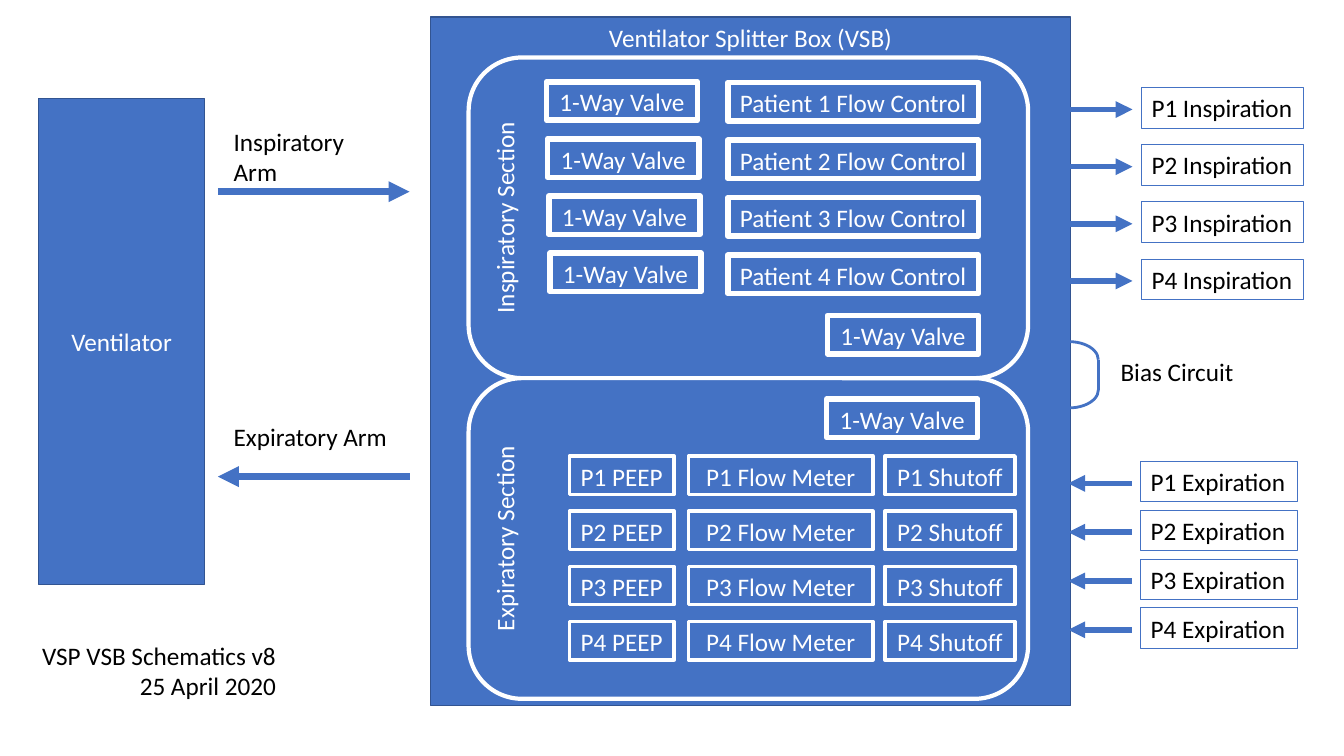
from collections import namedtuple
from lxml.etree import SubElement
from pptx import Presentation
from pptx.dml.color import RGBColor
from pptx.enum.shapes import MSO_CONNECTOR, MSO_SHAPE
from pptx.enum.text import MSO_ANCHOR, PP_ALIGN
from pptx.oxml.ns import qn
from pptx.util import Cm, Pt

COLORS = {"blue": "4472C4", "edge": "325491", "white": "FFFFFF", "black": "000000"}
PATIENTS = range(1, 5)
CELL_HEIGHT = 0.97
VALVE_WIDTH = 3.81
Box = namedtuple("Box", "left top width height")


def color(name):
    return RGBColor.from_string(COLORS[name])


def inside(box, left, top, width, height):
    return Box(box.left + left, box.top + top, width, height)


def write(frame, lines, ink, aligns, anchor=MSO_ANCHOR.TOP, wrap=True):
    frame.word_wrap = wrap
    frame.vertical_anchor = anchor
    for index, (line, align) in enumerate(zip(lines, aligns)):
        para = frame.paragraphs[0] if index == 0 else frame.add_paragraph()
        para.alignment = align
        span = para.add_run()
        span.text = line
        span.font.name = "Calibri"
        span.font.size = Pt(18)
        span.font.color.rgb = color(ink)


def add_outline(page, kind, box, line, weight, fill=None):
    shape = page.shapes.add_shape(kind, *map(Cm, box))
    shape.shadow.inherit = False
    if fill:
        shape.fill.solid()
        shape.fill.fore_color.rgb = color(fill)
    else:
        shape.fill.background()
    shape.line.color.rgb = color(line)
    shape.line.width = Pt(weight)
    return shape


def add_block(page, box, text, line="white", weight=4, anchor=MSO_ANCHOR.TOP):
    shape = add_outline(page, MSO_SHAPE.RECTANGLE, box, line, weight, "blue")
    write(shape.text_frame, [text], "white", [PP_ALIGN.CENTER], anchor)


def add_label(page, box, lines, aligns=(PP_ALIGN.LEFT,)):
    label = page.shapes.add_textbox(*map(Cm, box))
    write(label.text_frame, lines, "black", aligns, wrap=False)


def add_line(page, start, end, weight, arrow=True):
    line = page.shapes.add_connector(MSO_CONNECTOR.STRAIGHT, *map(Cm, start + end))
    line.line.color.rgb = color("blue")
    line.line.width = Pt(weight)
    properties = line._element.spPr
    if arrow:
        SubElement(properties.find(qn("a:ln")), qn("a:tailEnd"), type="triangle")
    SubElement(properties, qn("a:effectLst"))


def add_section(page, box, title):
    shape = add_outline(page, MSO_SHAPE.ROUNDED_RECTANGLE, box, "white", 3, "blue")
    write(shape.text_frame, [title], "white", [PP_ALIGN.CENTER])
    shape.text_frame._txBody.bodyPr.set("vert", "vert270")


def add_valve(page, box, left, top):
    add_block(page, inside(box, left, top, VALVE_WIDTH, CELL_HEIGHT), "1-Way Valve")


def add_inspiratory_section(page, box):
    add_section(page, box, "Inspiratory Section")
    for row, patient in enumerate(PATIENTS):
        add_valve(page, box, 1.96 + 0.03 * row, 0.61 + 1.44 * row)
        control = inside(box, 6.53, 0.63 + 1.45 * row, 6.32, CELL_HEIGHT)
        add_block(page, control, f"Patient {patient} Flow Control")
    add_valve(page, box, 9.04, 6.5)


def add_expiratory_section(page, box):
    add_section(page, box, "Expiratory Section")
    add_valve(page, box, 9.02, 0.53)
    columns = [("PEEP", 2.54, 2.64), ("Flow Meter", 5.54, 4.65), ("Shutoff", 10.49, 3.28)]
    for row, patient in enumerate(PATIENTS):
        for name, left, width in columns:
            cell = inside(box, left, 1.96 + 1.39 * row, width, CELL_HEIGHT)
            add_block(page, cell, f"P{patient} {name}", weight=2.5)


def add_splitter_box(page, box):
    add_block(page, box, "Ventilator Splitter Box (VSB)", "edge", 1)
    section = inside(box, 0.96, 1.02, 14.1, 8.08)
    add_inspiratory_section(page, section)
    add_expiratory_section(page, inside(section, 0, section.height, *section[2:]))


def add_arm(page, box, name, outward):
    add_label(page, Box(box.left + 0.15, box.top, 4.5, 1.02), [name])
    ends = [(x, box.top + box.height) for x in (box.left, box.left + box.width)]
    add_line(page, *(ends if outward else ends[::-1]), 5)


def add_ports(page, box, name, pitch, outward):
    label_left, label_height = 1.83, 1.02
    for row, patient in enumerate(PATIENTS):
        label = inside(box, label_left, pitch * row, box.width - label_left, label_height)
        middle = label.top + 0.55
        ends = [(box.left, middle), (box.left + 1.6, middle)]
        add_line(page, *(ends if outward else ends[::-1]), 4)
        port = add_outline(page, MSO_SHAPE.RECTANGLE, label, "blue", 0.75)
        write(port.text_frame, [f"P{patient} {name}"], "black", [PP_ALIGN.LEFT], wrap=False)


def add_bias_circuit(page, box):
    arc_width, arc_height = 1.47, 0.91
    right = box.left + arc_width
    add_outline(page, MSO_SHAPE.ARC, inside(box, 0, 0, arc_width, arc_height), "blue", 2)
    inset = (arc_width - arc_height) / 2
    lower_top = box.height - (arc_height + arc_width) / 2
    lower = inside(box, inset, lower_top, arc_height, arc_width)
    add_outline(page, MSO_SHAPE.ARC, lower, "blue", 2).rotation = 90
    bend = arc_height / 2
    add_line(page, (right, box.top + bend), (right, box.top + box.height - bend), 2, False)
    add_label(page, inside(box, 1.78, 0.25, 3.38, 0.48), ["Bias Circuit"])


def add_schematic(page, box):
    add_splitter_box(page, inside(box, 10.85, 0.43, 16.13, 17.35))
    ventilator = inside(box, 0.97, 2.49, 4.19, 12.24)
    add_block(page, ventilator, "Ventilator", "edge", 1, MSO_ANCHOR.MIDDLE)
    add_arm(page, inside(box, 5.49, 3.05, 4.83, 1.78), "Inspiratory Arm", True)
    add_arm(page, inside(box, 5.49, 10.49, 4.83, 1.52), "Expiratory Arm", False)
    add_ports(page, inside(box, 26.94, 2.21, 5.92, 5.34), "Inspiration", 1.44, True)
    add_ports(page, inside(box, 26.92, 11.63, 5.77, 4.71), "Expiration", 1.23, False)
    add_bias_circuit(page, inside(box, 26.21, 8.61, 5.16, 1.67))
    caption = inside(box, 0.81, 16, 6.48, 1.8)
    lines = ["VSP VSB Schematics v8", "25 April 2020"]
    add_label(page, caption, lines, (PP_ALIGN.LEFT, PP_ALIGN.RIGHT))


deck = Presentation()
deck.slide_width, deck.slide_height = Cm(33.87), Cm(19.05)
page = deck.slides.add_slide(deck.slide_layouts[6])
add_schematic(page, Box(0, 0, 33.87, 19.05))
deck.save("out.pptx")
